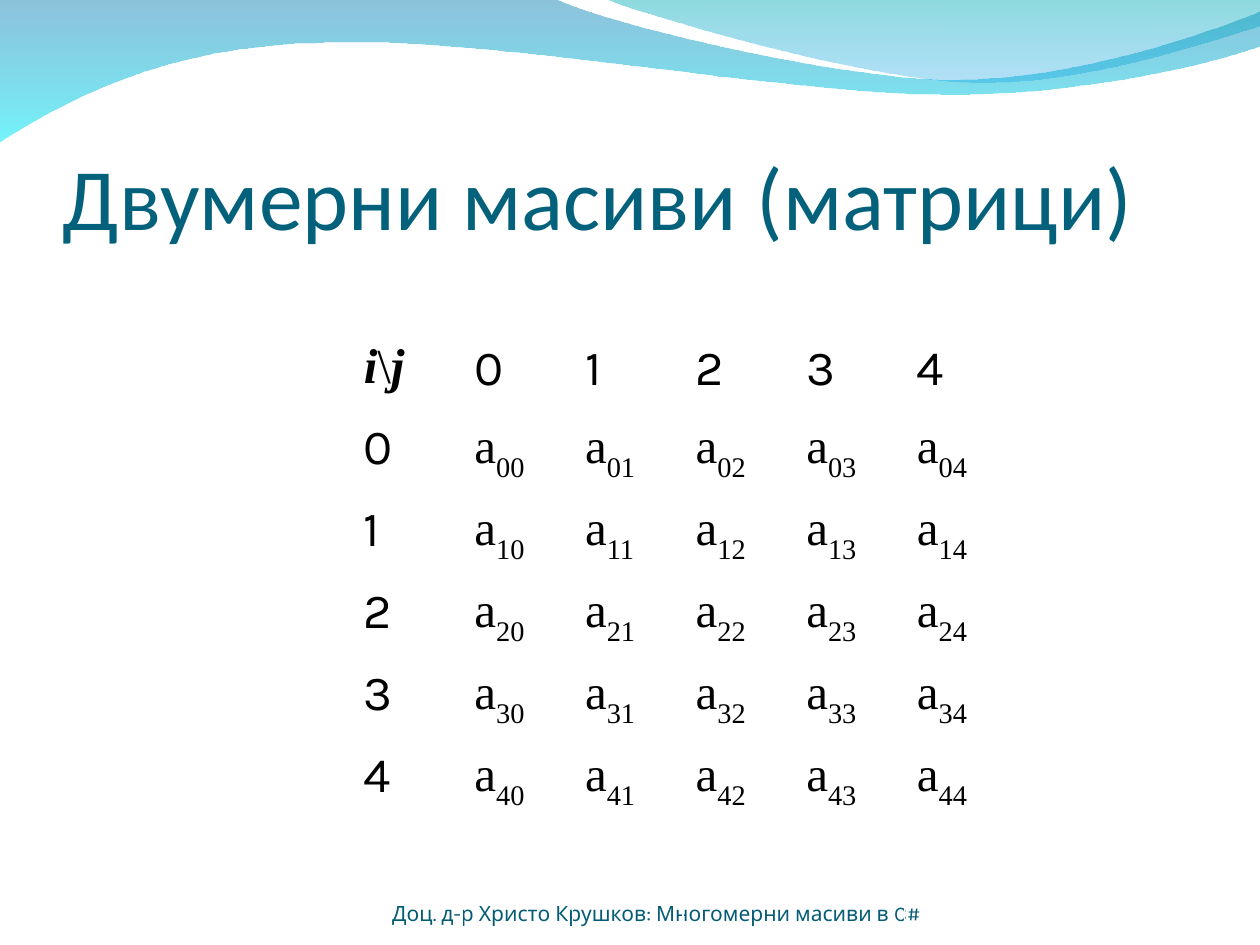
from lxml import etree
from pptx import Presentation
from pptx.dml.color import RGBColor
from pptx.enum.text import MSO_ANCHOR, PP_ALIGN
from pptx.oxml.ns import qn
from pptx.util import Cm, Pt

BOTTOM = MSO_ANCHOR.BOTTOM
LEFT, CENTER, JUSTIFY = PP_ALIGN.LEFT, PP_ALIGN.CENTER, PP_ALIGN.JUSTIFY
SERIF, SANS, HEAD = "Times New Roman", "Karla", "Calibri"
BLACK = "000000"
SIZE = 5
STEPS = 16

BACK_WAVE = [
    [(0, -0.03)], [(11.18, -0.03)],
    [(12.09, 0.43), (16.87, 1.6), (19.25, 1.6)],
    [(21.67, 1.6), (24.33, 0.66), (25.4, 0.23)],
    [(25.43, 0.91)],
    [(24.97, 1.12), (22.1, 1.93), (18.95, 1.9)],
    [(15.8, 1.9), (9.7, 0.71), (6.53, 0.86)],
    [(3.28, 0.89), (1.17, 2.11), (-0.03, 2.87)],
]
FRONT_WAVE = [
    [(12.17, -0.03)],
    [(12.93, 0.28), (17.32, 1.57), (19.53, 1.65)],
    [(21.74, 1.75), (24.41, 0.81), (25.4, 0.53)],
    [(25.4, 0)],
]


def color(code):
    return RGBColor.from_string(code)


def curve(points):
    for step in range(1, STEPS + 1):
        t = step / STEPS
        u = 1 - t
        parts = (u ** 3, 3 * u * u * t, 3 * u * t * t, t ** 3)
        yield tuple(sum(w * p[k] for w, p in zip(parts, points)) for k in (0, 1))


def trace(wave):
    spots = list(wave[0])
    for part in wave[1:]:
        spots += part if len(part) == 1 else curve([spots[-1], *part])
    return [(Cm(x), Cm(y)) for x, y in spots]


def add_wave(slide, wave, stops):
    spots = trace(wave)
    pen = slide.shapes.build_freeform(*spots[0])
    pen.add_line_segments(spots[1:], close=True)
    shape = pen.convert_to_shape()
    shape.shadow.inherit = False
    shape.line.fill.background()
    shape.fill.gradient()
    shape.fill.gradient_angle = 270
    for stop, (code, alpha) in zip(shape.fill.gradient_stops, stops):
        stop.color.rgb = color(code)
    tones = shape.fill._xPr.iter(qn("a:srgbClr"))
    for tone, (code, alpha) in zip(tones, stops):
        etree.SubElement(tone, qn("a:alpha")).set("val", str(alpha * 1000))


def style(para, face, size, code, align=LEFT):
    para.alignment = align
    font = para.font
    font.name, font.size = face, Pt(size)
    font.color.rgb = color(code)


def add_label(slide, text, box, face, size, code, align=LEFT, base=0):
    frame = slide.shapes.add_textbox(*map(Cm, box)).text_frame
    frame.word_wrap = True
    frame.vertical_anchor = BOTTOM
    frame.margin_left = frame.margin_right = frame.margin_top = 0
    frame.margin_bottom = Cm(base)
    para = frame.paragraphs[0]
    para.text = text
    style(para, face, size, code, align)


def fill_corner(cell):
    para = cell.text_frame.paragraphs[0]
    style(para, SERIF, 28, BLACK, JUSTIFY)
    for text, strong in (("i", True), ("\\", False), ("j", True)):
        run = para.add_run()
        run.text = text
        run.font.bold = run.font.italic = strong


def fill_index(cell, num):
    para = cell.text_frame.paragraphs[0]
    para.text = str(num)
    para.space_before = Pt(7)
    style(para, SANS, 28, BLACK)


def fill_item(cell, row, col):
    para = cell.text_frame.paragraphs[0]
    style(para, SERIF, 28, BLACK, JUSTIFY)
    para.add_run().text = "а"
    sub = para.add_run()
    sub.text = f"{row}{col}"
    sub._r.get_or_add_rPr().set("baseline", "-30000")


def add_matrix(slide):
    frame = slide.shapes.add_table(
        9, 7, Cm(4.85), Cm(5.13), Cm(15.61), Cm(14.02))
    table = frame.table
    table.first_row = table.horz_banding = False
    for col in table.columns:
        col.width = Cm(2.23)
    for row in table.rows:
        row.height = Cm(1.6)
    table.rows[8].height = Cm(1.22)
    for cell in table.iter_cells():
        cell.fill.background()
    fill_corner(table.cell(1, 1))
    for row in range(SIZE):
        fill_index(table.cell(1, row + 2), row)
        fill_index(table.cell(row + 2, 1), row)
        for col in range(SIZE):
            fill_item(table.cell(row + 2, col + 2), row, col)


def main():
    deck = Presentation()
    deck.slide_width, deck.slide_height = Cm(25.4), Cm(19.05)
    slide = deck.slides.add_slide(deck.slide_layouts[6])
    add_wave(slide, BACK_WAVE, [("0079AF", 45), ("00EBF8", 55)])
    add_wave(slide, FRONT_WAVE, [("00ADB6", 45), ("009BE5", 30)])
    add_label(slide, "Двумерни масиви (матрици)", (1.27, 1.96, 22.86, 3.18),
              HEAD, 50, "04617B", base=0.13)
    add_label(slide, "Доц. д-р Христо Крушков: Многомерни масиви в C#",
              (7.42, 17.65, 11.63, 1.02), SANS, 12, "045C75", CENTER)
    add_matrix(slide)
    deck.save("out.pptx")


if __name__ == "__main__":
    main()
